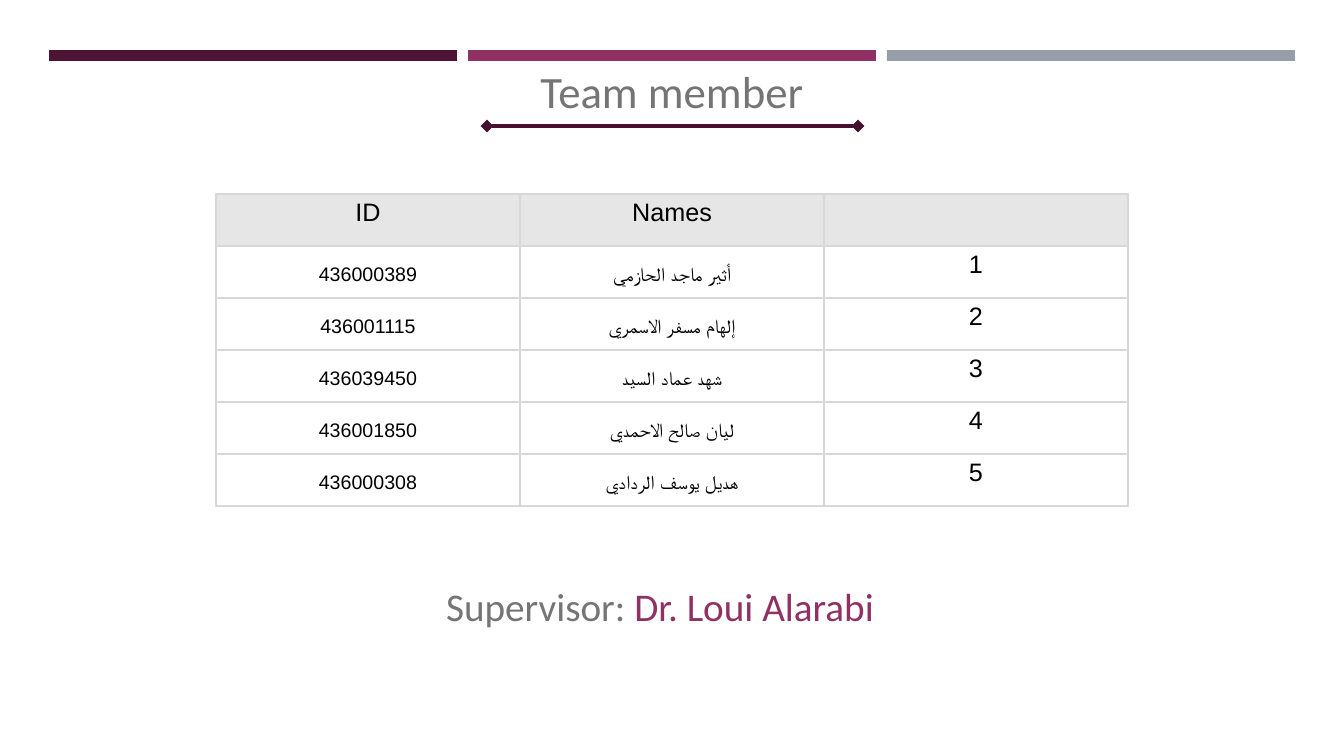
from lxml.etree import SubElement
from pptx import Presentation
from pptx.dml.color import RGBColor
from pptx.enum.shapes import MSO_CONNECTOR as Connector, MSO_SHAPE as Preset
from pptx.enum.text import PP_ALIGN as Align
from pptx.oxml.ns import qn
from pptx.util import Emu, Pt

SCALE = 914400 / 100.8
GREY, PLUM, DARK, SILVER = "757575", "903163", "4D1434", "969FA7"
MEMBERS = [
    ("436000389", "أثير ماجد الحازمي"),
    ("436001115", "إلهام مسفر الاسمري"),
    ("436039450", "شهد عماد السيد"),
    ("436001850", "ليان صالح الاحمدي"),
    ("436000308", "هديل يوسف الردادي"),
]


def px(*lengths):
    return [Emu(round(length * SCALE)) for length in lengths]


def color(code):
    return RGBColor.from_string(code)


def apply(target, values):
    for name, value in values.items():
        setattr(target, name, value)


class SlideBuilder:
    """Draws styled elements on the current slide."""

    header = {"font": "Arial", "size": 18, "code": "000000"}
    member = {"font": "Arial", "size": 14, "code": "000000"}
    number = {"font": "Times New Roman", "size": 14, "code": "000000"}
    border, header_fill, body_fill = "D8D8D8", "E6E6E6", "FFFFFF"

    def __init__(self, page):
        self.page = page

    def add_span(self, para, text, font, size, code):
        span = para.add_run()
        span.text = text
        apply(span.font, {"name": font, "size": Pt(size)})
        span.font.color.rgb = color(code)
        SubElement(span.font._element, qn("a:cs"), typeface="Arial")

    def bar(self, left, top, width, height, code):
        box = self.page.shapes.add_shape(Preset.RECTANGLE, *px(left, top, width, height))
        box.shadow.inherit = False
        box.fill.solid()
        box.fill.fore_color.rgb = color(code)
        box.line.fill.background()

    def text(self, left, top, width, height, size, spans):
        box = self.page.shapes.add_textbox(*px(left, top, width, height))
        box.text_frame.word_wrap = True
        para = box.text_frame.paragraphs[0]
        para.alignment = Align.CENTER
        for text, code in spans:
            self.add_span(para, text, "Calibri", size, code)

    def diamond_line(self, left, right, y, width, code):
        line = self.page.shapes.add_connector(Connector.STRAIGHT, *px(left, y, right, y))
        line.line.width = Pt(width)
        line.line.color.rgb = color(code)
        stroke = line._element.spPr.find(qn("a:ln"))
        for end in ("a:headEnd", "a:tailEnd"):
            SubElement(stroke, qn(end), type="diamond")
        SubElement(line._element.spPr, qn("a:effectLst"))

    def cell(self, cell, text, style, fill, right_to_left=False):
        properties = cell._tc.get_or_add_tcPr()
        for side in ("a:lnL", "a:lnR", "a:lnT", "a:lnB"):
            edge = SubElement(properties, qn(side), w=str(Pt(1)))
            SubElement(SubElement(edge, qn("a:solidFill")), qn("a:srgbClr"), val=self.border)
        cell.fill.solid()
        cell.fill.fore_color.rgb = color(fill)
        para = cell.text_frame.paragraphs[0]
        para.alignment = Align.CENTER
        if right_to_left:
            para.line_spacing = 1.5
            inset, indent = px(7, 10)
            sides = ("left", "right", "top", "bottom")
            apply(cell, {f"margin_{side}": inset for side in sides})
            for name, value in {"marL": indent, "marR": indent, "indent": 0, "rtl": 1}.items():
                para._p.get_or_add_pPr().set(name, str(value))
        if text:
            self.add_span(para, text, **style)

    def member_table(self, left, top, column_width, row_height, members):
        rows, columns = len(members) + 1, 3
        size = column_width * columns, row_height * rows
        table = self.page.shapes.add_table(rows, columns, *px(left, top, *size)).table
        apply(table, {"first_row": False, "horz_banding": False})
        for column, title in enumerate(("ID", "Names", "")):
            self.cell(table.cell(0, column), title, self.header, self.header_fill)
        for row, (identity, name) in enumerate(members, 1):
            self.cell(table.cell(row, 0), identity, self.number, self.body_fill, True)
            self.cell(table.cell(row, 1), name, self.member, self.body_fill, True)
            self.cell(table.cell(row, 2), str(row), self.header, self.body_fill)


deck = Presentation()
apply(deck, dict(zip(("slide_width", "slide_height"), px(1344, 756))))
builder = SlideBuilder(deck.slides.add_slide(deck.slide_layouts[6]))
for index, code in enumerate((DARK, PLUM, SILVER)):
    builder.bar(49 + 419 * index, 50, 408, 11, code)
builder.member_table(216, 194, 304, 52, MEMBERS)
builder.diamond_line(487, 858, 126, 3, "45112E")
builder.text(515, 59, 314, 65, 32, [("Team member", GREY)])
builder.text(303, 577, 714, 57, 28, [("Supervisor: ", GREY), ("Dr. Loui Alarabi", PLUM)])
deck.save("out.pptx")
